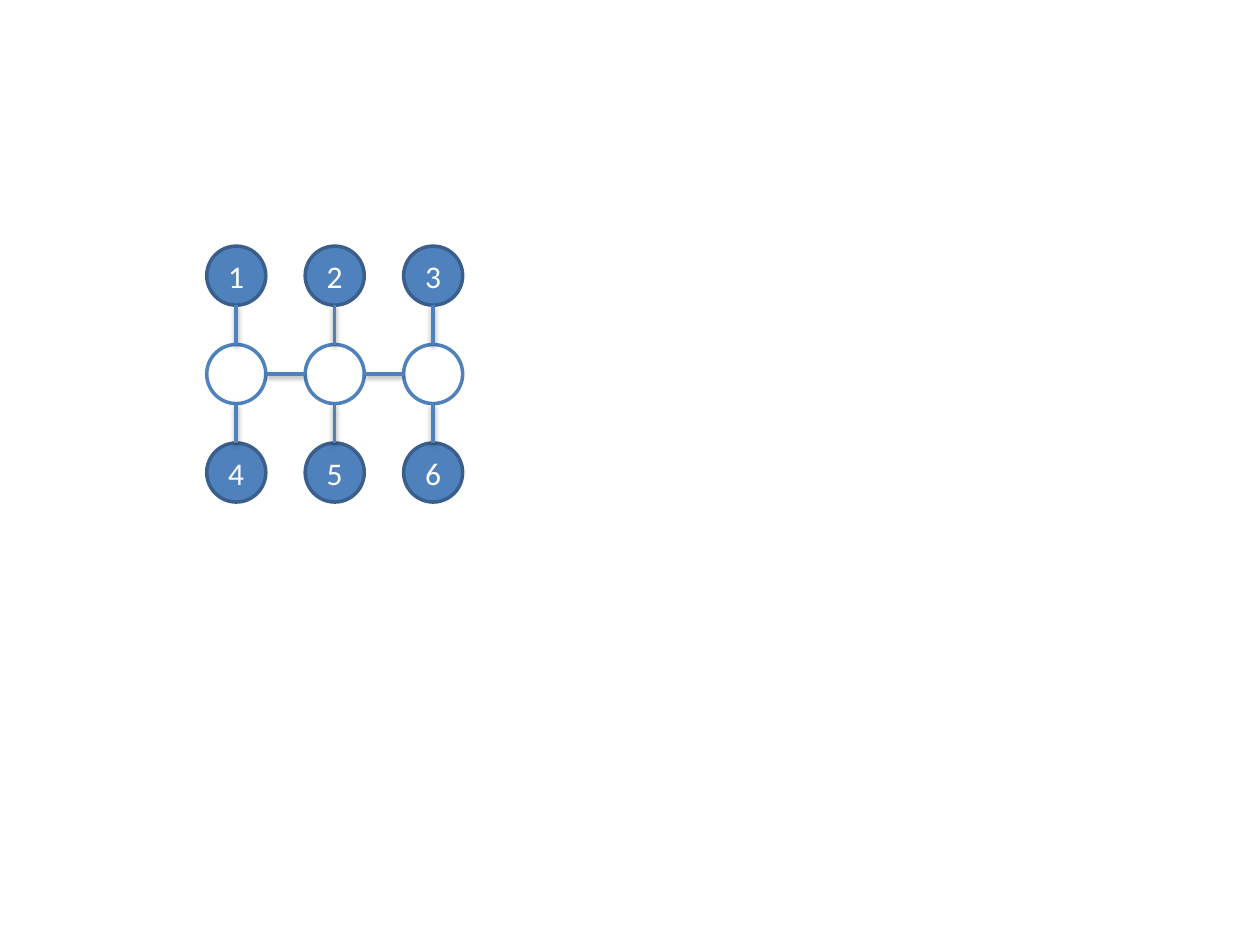
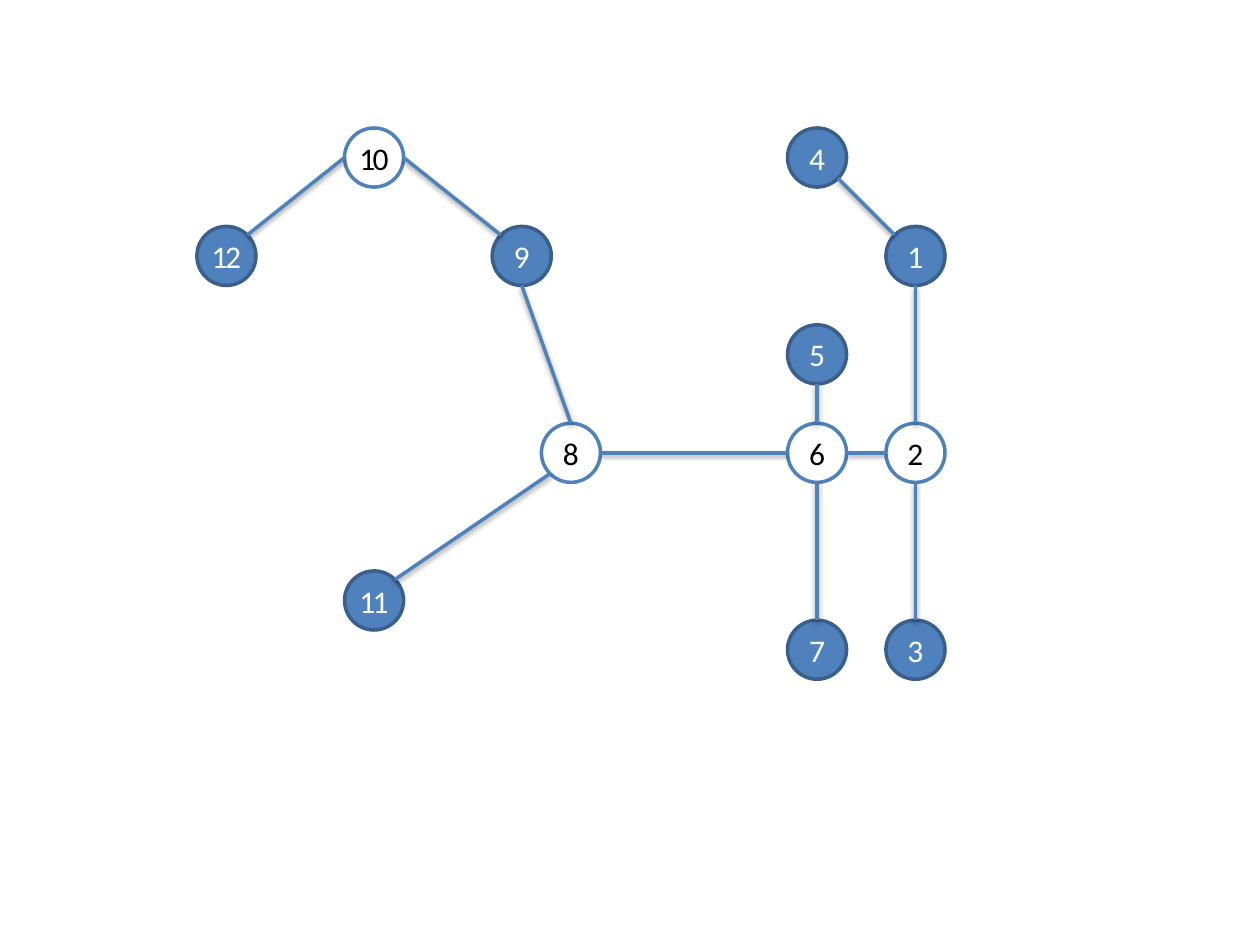
from math import cos, pi, sin

from lxml.etree import SubElement
from pptx import Presentation
from pptx.dml.color import RGBColor
from pptx.enum.shapes import MSO_CONNECTOR, MSO_SHAPE
from pptx.enum.text import MSO_ANCHOR, PP_ALIGN
from pptx.oxml.ns import qn
from pptx.util import Pt

COLORS = {
    "blue": "4F81BD",
    "dark_blue": "3A5F8C",
    "white": "FFFFFF",
    "black": "000000",
}
FONT = "Calibri"
DIAMETER = 33.75
UNIT = DIAMETER / 1.2
STROKE = 2
TOP, TOP_LEFT, LEFT, BOTTOM_LEFT, BOTTOM, BOTTOM_RIGHT, RIGHT, TOP_RIGHT = range(8)

LADDER_ORIGIN = (4.2, 5)
LADDER_ROWS = [("1", "2", "3"), ("", "", ""), ("4", "5", "6")]

TREE_ORIGIN = (4, 2.6)
TREE_LEAVES = {
    "1": (14, 2), "3": (14, 10), "4": (12, 0), "5": (12, 4), "7": (12, 10),
    "9": (6, 2), "11": (3, 9), "12": (0, 2),
}
TREE_HUBS = {"2": (14, 6), "6": (12, 6), "8": (7, 6), "10": (3, 0)}
TREE_EDGES = [
    ("2", TOP, "1", BOTTOM),
    ("3", TOP, "2", BOTTOM),
    ("4", BOTTOM_RIGHT, "1", TOP_LEFT),
    ("2", LEFT, "6", RIGHT),
    ("6", TOP, "5", BOTTOM),
    ("7", TOP, "6", BOTTOM),
    ("8", RIGHT, "6", LEFT),
    ("8", TOP, "9", BOTTOM),
    ("11", TOP_RIGHT, "8", BOTTOM_LEFT),
    ("10", RIGHT, "9", TOP_LEFT),
    ("12", TOP_RIGHT, "10", LEFT),
]


def color(name):
    return RGBColor.from_string(COLORS[name])


def add_node(slide, origin, cell, label, hub, tight=False):
    left, top = (Pt((start + step) * UNIT) for start, step in zip(origin, cell))
    node = slide.shapes.add_shape(MSO_SHAPE.OVAL, left, top, Pt(DIAMETER), Pt(DIAMETER))
    node.shadow.inherit = False
    node.fill.solid()
    node.fill.fore_color.rgb = color("white" if hub else "blue")
    node.line.color.rgb = color("blue" if hub else "dark_blue")
    node.line.width = Pt(STROKE)
    if label:
        add_label(node.text_frame, label, "black" if hub else "white", tight)
    return node


def add_label(frame, label, ink, tight):
    frame.word_wrap = not tight
    frame.vertical_anchor = MSO_ANCHOR.MIDDLE
    paragraph = frame.paragraphs[0]
    paragraph.alignment = PP_ALIGN.CENTER
    paragraph.font.name = FONT
    paragraph.font.size = Pt(18)
    paragraph.font.color.rgb = color(ink)
    number = paragraph.add_run()
    number.text = label
    if tight:
        number.font.color.rgb = color(ink)
        number._r.get_or_add_rPr().set("spc", "-150")


def site_point(node, site):
    angle = pi / 2 + site * pi / 4
    radius = node.width / 2
    return (
        round(node.left + radius * (1 + cos(angle))),
        round(node.top + radius * (1 - sin(angle))),
    )


def add_edge(slide, start, start_site, end, end_site):
    edge = slide.shapes.add_connector(
        MSO_CONNECTOR.STRAIGHT, *site_point(start, start_site), *site_point(end, end_site)
    )
    edge.line.color.rgb = color("blue")
    edge.line.width = Pt(STROKE)
    glue = edge.element.nvCxnSpPr.cNvCxnSpPr
    for tag, node, site in (("a:stCxn", start, start_site), ("a:endCxn", end, end_site)):
        SubElement(glue, qn(tag), id=str(node.shape_id), idx=str(site))
    add_shadow(edge)


def add_shadow(edge):
    effects = SubElement(edge.element.spPr, qn("a:effectLst"))
    shadow = SubElement(
        effects, qn("a:outerShdw"), blurRad=str(Pt(3.1)), dist=str(Pt(1.6)),
        dir="5400000", rotWithShape="0",
    )
    tint = SubElement(shadow, qn("a:srgbClr"), val=COLORS["black"])
    SubElement(tint, qn("a:alpha"), val="38000")


def build_ladder(slide):
    uppers, hubs, lowers = [
        [
            add_node(slide, LADDER_ORIGIN, (2 * column, 2 * row), label, hub=not label)
            for column, label in enumerate(labels)
        ]
        for row, labels in enumerate(LADDER_ROWS)
    ]
    for upper, hub, lower in zip(uppers, hubs, lowers):
        add_edge(slide, hub, TOP, upper, BOTTOM)
        add_edge(slide, lower, TOP, hub, BOTTOM)
    for hub, next_hub in zip(hubs, hubs[1:]):
        add_edge(slide, next_hub, LEFT, hub, RIGHT)


def build_tree(slide):
    nodes = {
        label: add_node(slide, TREE_ORIGIN, cell, label, label in TREE_HUBS, tight=True)
        for label, cell in (TREE_LEAVES | TREE_HUBS).items()
    }
    for start, start_site, end, end_site in TREE_EDGES:
        add_edge(slide, nodes[start], start_site, nodes[end], end_site)


def main():
    deck = Presentation()
    deck.slide_width, deck.slide_height = Pt(720), Pt(540)
    blank = deck.slide_layouts[6]
    for build in (build_ladder, build_tree):
        build(deck.slides.add_slide(blank))
    deck.save("out.pptx")


main()
